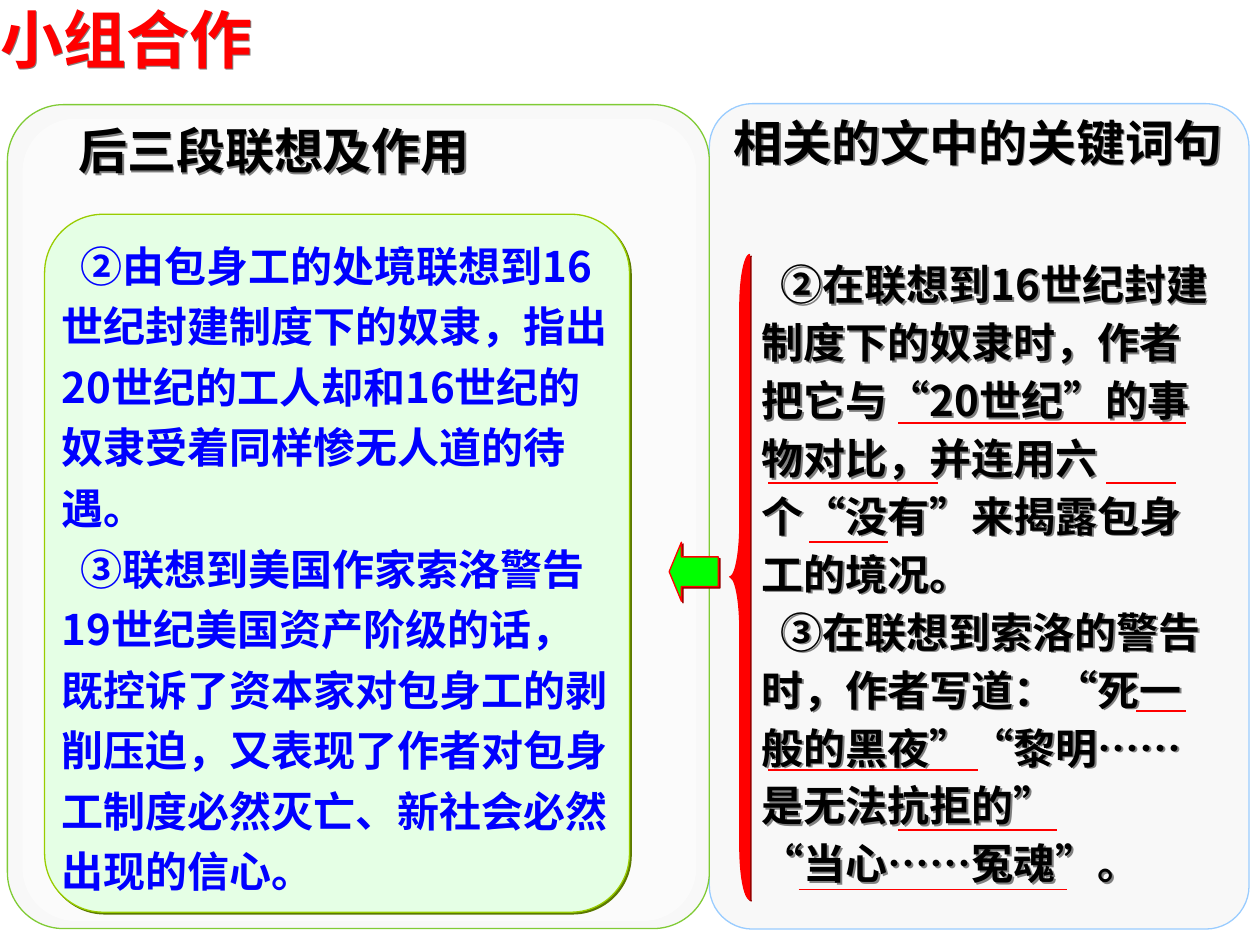
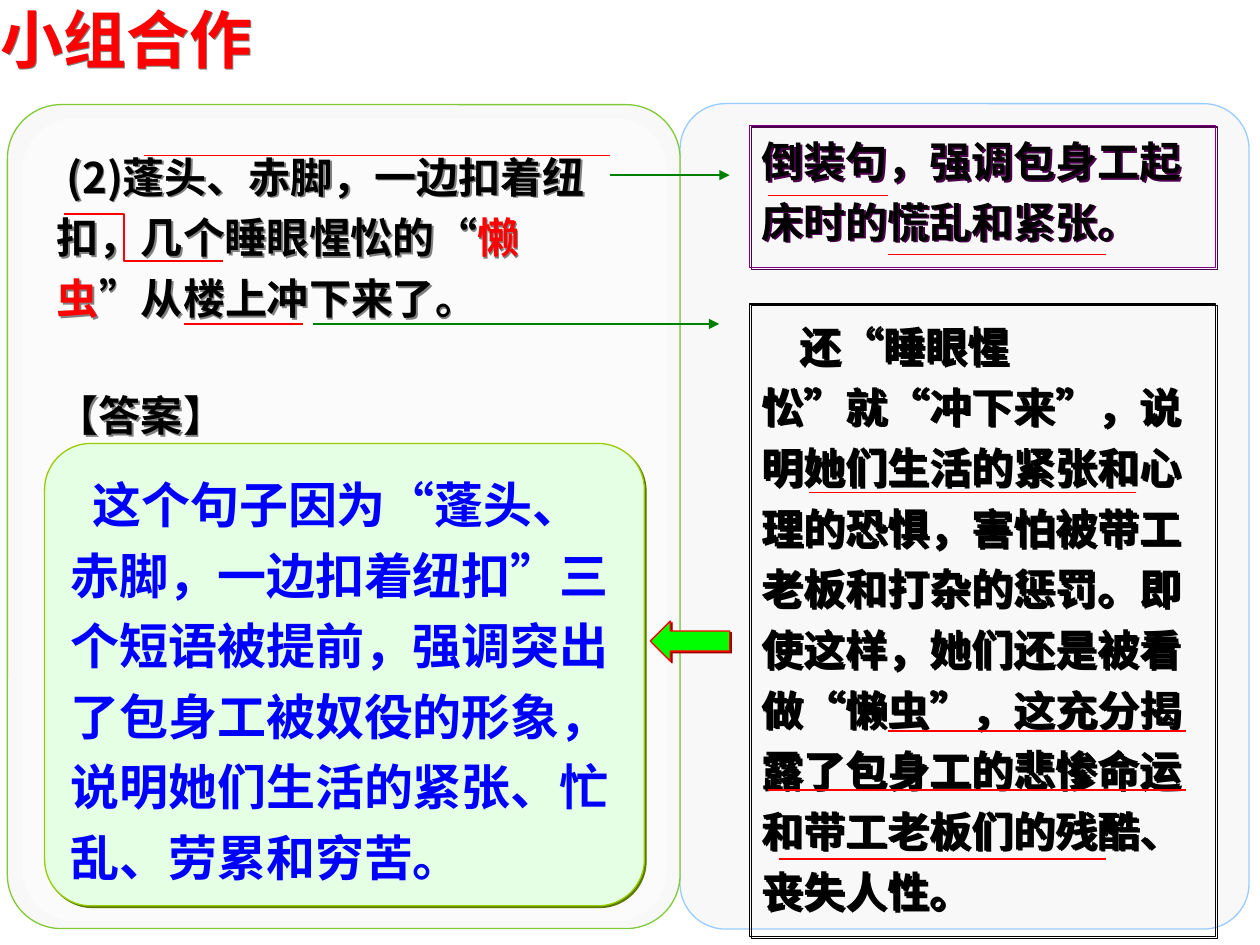
from lxml.etree import SubElement
from pptx import Presentation
from pptx.dml.color import RGBColor
from pptx.enum.shapes import MSO_CONNECTOR, MSO_SHAPE
from pptx.enum.text import MSO_ANCHOR, MSO_AUTO_SIZE, PP_ALIGN
from pptx.oxml.ns import qn
from pptx.util import Cm, Pt

RED = RGBColor(0xFF, 0x00, 0x00)
BLACK = RGBColor(0x00, 0x00, 0x00)
BLUE = RGBColor(0x00, 0x00, 0xFF)
WHITE = RGBColor(0xFF, 0xFF, 0xFF)
LIME = RGBColor(0x00, 0xFF, 0x00)
GREEN = RGBColor(0x00, 0x80, 0x00)
PURPLE = RGBColor(0x80, 0x00, 0x80)
PANEL = RGBColor(0xF8, 0xF8, 0xF8)
PANEL_GREEN = RGBColor(0x80, 0xCB, 0x35)
PANEL_BLUE = RGBColor(0x99, 0xCC, 0xFF)
MINT = RGBColor(0xE5, 0xFF, 0xE5)
OLIVE = RGBColor(0x99, 0xCC, 0x00)
OLIVE_SHADOW = RGBColor(0x5B, 0x79, 0x00)
RED_SHADOW = RGBColor(0x98, 0x00, 0x00)
PURPLE_SHADOW = RGBColor(0x4C, 0x00, 0x4C)
TEXT_SHADOW = RGBColor(0x80, 0x80, 0x80)
HEAD_FONT = "Arial"
BODY_FONT = "Noto Sans CJK SC"


def style(shape, fill=None, line=None, shadow=None, adjustments=(), width=0.75):
    if fill is None:
        shape.fill.background()
    else:
        shape.fill.solid()
        shape.fill.fore_color.rgb = fill
    if line is None:
        shape.line.fill.background()
    else:
        shape.line.color.rgb = line
        shape.line.width = Pt(width)
    for index, value in enumerate(adjustments):
        shape.adjustments[index] = value
    shape.shadow.inherit = False
    if shadow is not None:
        effects = shape._element.spPr.find(qn("a:effectLst"))
        outer = SubElement(effects, qn("a:outerShdw"), dist=str(Pt(1.4)), dir="2700000", algn="ctr", rotWithShape="0")
        SubElement(outer, qn("a:srgbClr"), val=str(shadow))


def write(shape, texts, size, color, font=BODY_FONT, spacing=1.0, indents=(0,),
          margins=(0.25, 0.13, 0.25, 0.13), anchor=MSO_ANCHOR.TOP, wrap=True):
    frame = shape.text_frame
    frame.word_wrap = wrap
    frame.auto_size = MSO_AUTO_SIZE.NONE
    frame.vertical_anchor = anchor
    frame.margin_left, frame.margin_top, frame.margin_right, frame.margin_bottom = map(Cm, margins)
    for index, (text, indent) in enumerate(zip(texts, indents)):
        para = frame.paragraphs[0] if index == 0 else frame.add_paragraph()
        para.alignment = PP_ALIGN.LEFT
        para.space_before = Pt(0)
        para.line_spacing = Pt(round(size * 1.2 * spacing, 1))
        layout = para._p.get_or_add_pPr()
        layout.set("indent", str(Cm(indent)))
        layout.set("hangingPunct", "0")
        for position, part in enumerate(text.split("|")):
            span = para.add_run()
            span.text = part
            span.font.size = Pt(size)
            span.font.bold = True
            span.font.name = font
            span.font.color.rgb = RED if position % 2 else color
            properties = span._r.get_or_add_rPr()
            properties.set("lang", "zh-CN")
            latin = properties.find(qn("a:latin"))
            east_asian = SubElement(properties, qn("a:ea"), typeface=BODY_FONT)
            latin.addnext(east_asian)


deck = Presentation()
deck.slide_width, deck.slide_height = Cm(25.4), Cm(19.05)

pages = []
for left_width in (14.15, 13.56):
    page = deck.slides.add_slide(deck.slide_layouts[5])
    pages.append(page)
    title = page.shapes.title
    title.left, title.top, title.width, title.height = Cm(0), Cm(0), Cm(8.51), Cm(1.52)
    style(title, shadow=TEXT_SHADOW)
    write(title, ["小组合作"], 36, RED, HEAD_FONT, margins=(0, 0, 0, 0))

    right_left = 0.15 + left_width
    right_panel = page.shapes.add_shape(
        MSO_SHAPE.ROUNDED_RECTANGLE, Cm(right_left), Cm(2.09), Cm(25.18 - right_left), Cm(16.64))
    style(right_panel, PANEL, PANEL_BLUE, adjustments=[0.08])
    group = page.shapes.add_group_shape()
    left_panel = group.shapes.add_shape(
        MSO_SHAPE.ROUNDED_RECTANGLE, Cm(0.15), Cm(2.11), Cm(left_width), Cm(16.61))
    style(left_panel, PANEL, PANEL_GREEN, adjustments=[0.08])
    sheen = group.shapes.add_shape(
        MSO_SHAPE.ROUNDED_RECTANGLE, Cm(0.45), Cm(2.39), Cm(left_width - 0.56), Cm(16.18))
    style(sheen, WHITE, adjustments=[0.08])
    tint = sheen._element.spPr.find(qn("a:solidFill")).find(qn("a:srgbClr"))
    SubElement(tint, qn("a:alpha"), val="50000")

association_page, sentence_page = pages

for text, left, top, width in (
    ("后三段联想及作用", 1.33, 2.31, 8.38),
    ("相关的文中的关键词句", 14.54, 2.13, 10.36),
):
    heading = association_page.shapes.add_textbox(Cm(left), Cm(top), Cm(width), Cm(1.45))
    style(heading, shadow=TEXT_SHADOW)
    write(heading, [text], 28, BLACK, HEAD_FONT, wrap=False)

key_phrases = association_page.shapes.add_textbox(Cm(15.11), Cm(4.93), Cm(9.8), Cm(13.11))
style(key_phrases, shadow=TEXT_SHADOW)
write(key_phrases, [
    "②在联想到16世纪封建制度下的奴隶时，作者把它与“20世纪”的事物对比，并连用六个“没有”来揭露包身工的境况。",
    "③在联想到索洛的警告时，作者写道：“死一般的黑夜”“黎明……是无法抗拒的”",
    "“当心……冤魂”。",
], 24, BLACK, spacing=1.15, indents=(0.38, 0.38, 0))

effects_box = association_page.shapes.add_shape(
    MSO_SHAPE.ROUNDED_RECTANGLE, Cm(0.9), Cm(4.32), Cm(11.79), Cm(14.07))
style(effects_box, MINT, OLIVE, OLIVE_SHADOW, [0.1])
write(effects_box, [
    "②由包身工的处境联想到16世纪封建制度下的奴隶，指出20世纪的工人却和16世纪的奴隶受着同样惨无人道的待遇。",
    "③联想到美国作家索洛警告19世纪美国资产阶级的话，既控诉了资本家对包身工的剥削压迫，又表现了作者对包身工制度必然灭亡、新社会必然出现的信心。",
], 24, BLUE, spacing=1.2, indents=(0.38, 0.38), margins=(0, 0, 0, 0), anchor=MSO_ANCHOR.MIDDLE)

brace = association_page.shapes.add_shape(MSO_SHAPE.LEFT_BRACE, Cm(14.71), Cm(5.13), Cm(0.41), Cm(13))
style(brace, RED, RED, RED_SHADOW, [2.63, 0.5])

passage = sentence_page.shapes.add_textbox(Cm(0.9), Cm(2.72), Cm(12.19), Cm(3.91))
style(passage, shadow=TEXT_SHADOW)
write(passage, ["(2)蓬头、赤脚，一边扣着纽扣，几个睡眼惺忪的“|懒虫|”从楼上冲下来了。"],
      24, BLACK, spacing=1.2, indents=(0.19,), anchor=MSO_ANCHOR.MIDDLE)

answer_label = sentence_page.shapes.add_textbox(Cm(0.9), Cm(7.72), Cm(3.99), Cm(1.27))
style(answer_label, shadow=TEXT_SHADOW)
write(answer_label, ["【答案】"], 24, BLACK, HEAD_FONT)

answer_box = sentence_page.shapes.add_shape(
    MSO_SHAPE.ROUNDED_RECTANGLE, Cm(0.9), Cm(8.94), Cm(12.09), Cm(9.32))
style(answer_box, MINT, OLIVE, OLIVE_SHADOW, [0.1])
write(answer_box, [
    "这个句子因为“蓬头、赤脚，一边扣着纽扣”三个短语被提前，强调突出了包身工被奴役的形象，说明她们生活的紧张、忙乱、劳累和穷苦。",
], 28, BLUE, spacing=1.2, indents=(0.44,), anchor=MSO_ANCHOR.MIDDLE)

for text, top, height, line, shadow, width, indent, margin_top in (
    ("倒装句，强调包身工起床时的慌乱和紧张。", 2.53, 2.87, PURPLE, PURPLE_SHADOW, 0.75, 0, 0),
    ("还“睡眼惺忪”就“冲下来”，说明她们生活的紧张和心理的恐惧，害怕被带工老板和打杂的惩罚。"
     "即使这样，她们还是被看做“懒虫”，这充分揭露了包身工的悲惨命运和带工老板们的残酷、丧失人性。",
     6.13, 12.75, BLACK, BLACK, 0, 0.76, 0.13),
):
    comment_box = sentence_page.shapes.add_shape(MSO_SHAPE.RECTANGLE, Cm(15.11), Cm(top), Cm(9.4), Cm(height))
    style(comment_box, line=line, shadow=shadow, width=width)
    write(comment_box, [text], 24, BLACK, HEAD_FONT, 1.2, (indent,), (0.25, margin_top, 0.25, 0.43))

for page, left, top, width, height, head in (
    (association_page, 13.49, 10.93, 0.99, 1.19, 0.25),
    (sentence_page, 13.11, 12.52, 1.6, 0.81, 0.5),
):
    arrow = page.shapes.add_shape(MSO_SHAPE.LEFT_ARROW, Cm(left), Cm(top), Cm(width), Cm(height))
    style(arrow, LIME, RED, RED_SHADOW, [0.5, head])

association_underlines = (
    (18.11, 23.9, 8.53), (15.49, 18.9, 9.73), (22.3, 23.7, 9.73), (16.31, 17.91, 10.92),
    (22.91, 23.9, 14.33), (15.49, 19.71, 15.52), (18.11, 21.31, 16.74), (16.1, 21.51, 17.93),
)
sentence_underlines = (
    (3.71, 6.1, 6.53), (15.49, 17.91, 3.94), (17.91, 22.3, 5.13), (16.31, 22.91, 9.93),
    (17.91, 23.9, 14.73), (15.49, 23.9, 15.93), (15.7, 22.3, 17.32),
)
strokes = [
    (page, MSO_CONNECTOR.STRAIGHT, start, y, end, y, RED, 1)
    for page, underlines in zip(pages, (association_underlines, sentence_underlines))
    for start, end, y in underlines
]
strokes += [
    (sentence_page, MSO_CONNECTOR.STRAIGHT, 2.9, 3.13, 12.29, 3.13, RED, 0.75),
    (sentence_page, MSO_CONNECTOR.ELBOW, 1.3, 4.32, 4.5, 5.26, RED, 1),
    (sentence_page, MSO_CONNECTOR.STRAIGHT, 12.29, 3.53, 14.71, 3.53, GREEN, 0.75),
    (sentence_page, MSO_CONNECTOR.STRAIGHT, 6.3, 6.53, 14.5, 6.53, GREEN, 0.75),
]
for page, kind, start_x, start_y, end_x, end_y, color, width in strokes:
    stroke = page.shapes.add_connector(kind, Cm(start_x), Cm(start_y), Cm(end_x), Cm(end_y))
    stroke.line.color.rgb = color
    stroke.line.width = Pt(width)
    properties = stroke._element.spPr
    if color == GREEN:
        SubElement(properties.find(qn("a:ln")), qn("a:tailEnd"), type="triangle")
    if kind == MSO_CONNECTOR.ELBOW:
        guides = properties.find(qn("a:prstGeom")).find(qn("a:avLst"))
        SubElement(guides, qn("a:gd"), name="adj1", fmla="val 37500")
    SubElement(properties, qn("a:effectLst"))

deck.save("out.pptx")
